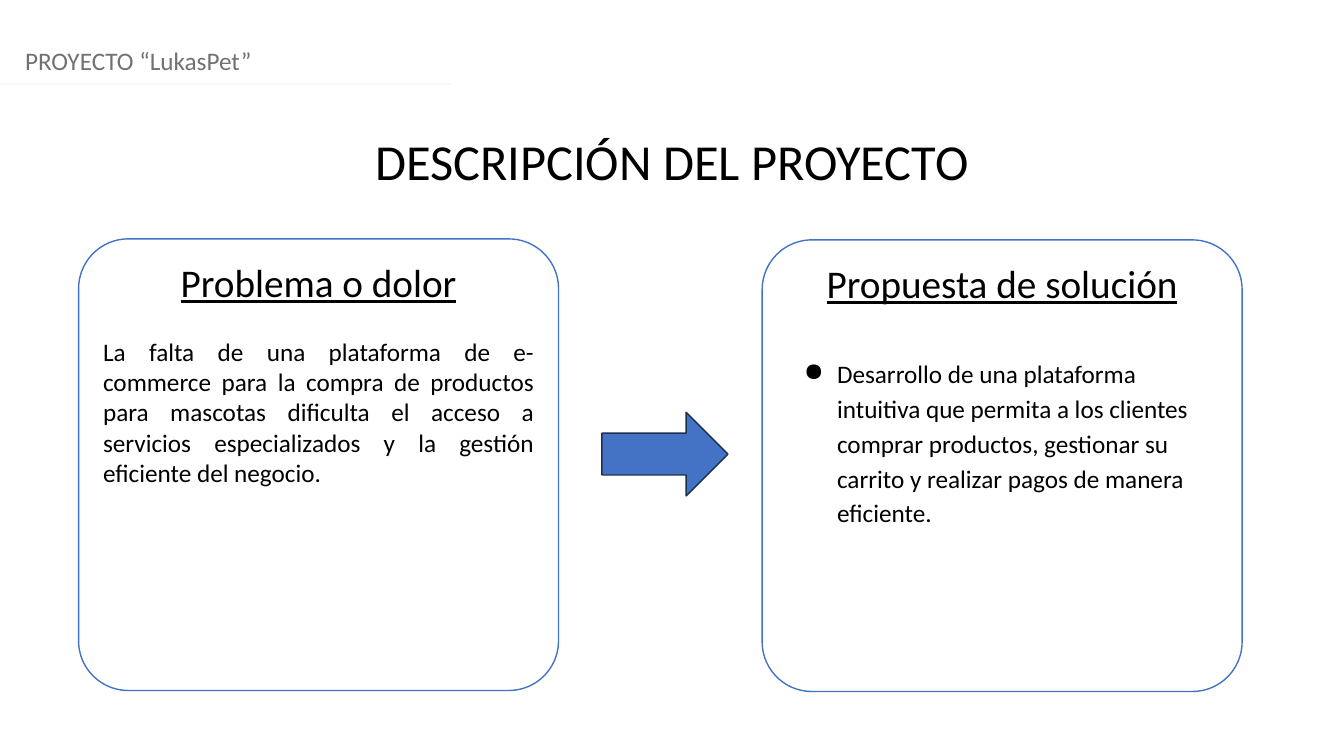
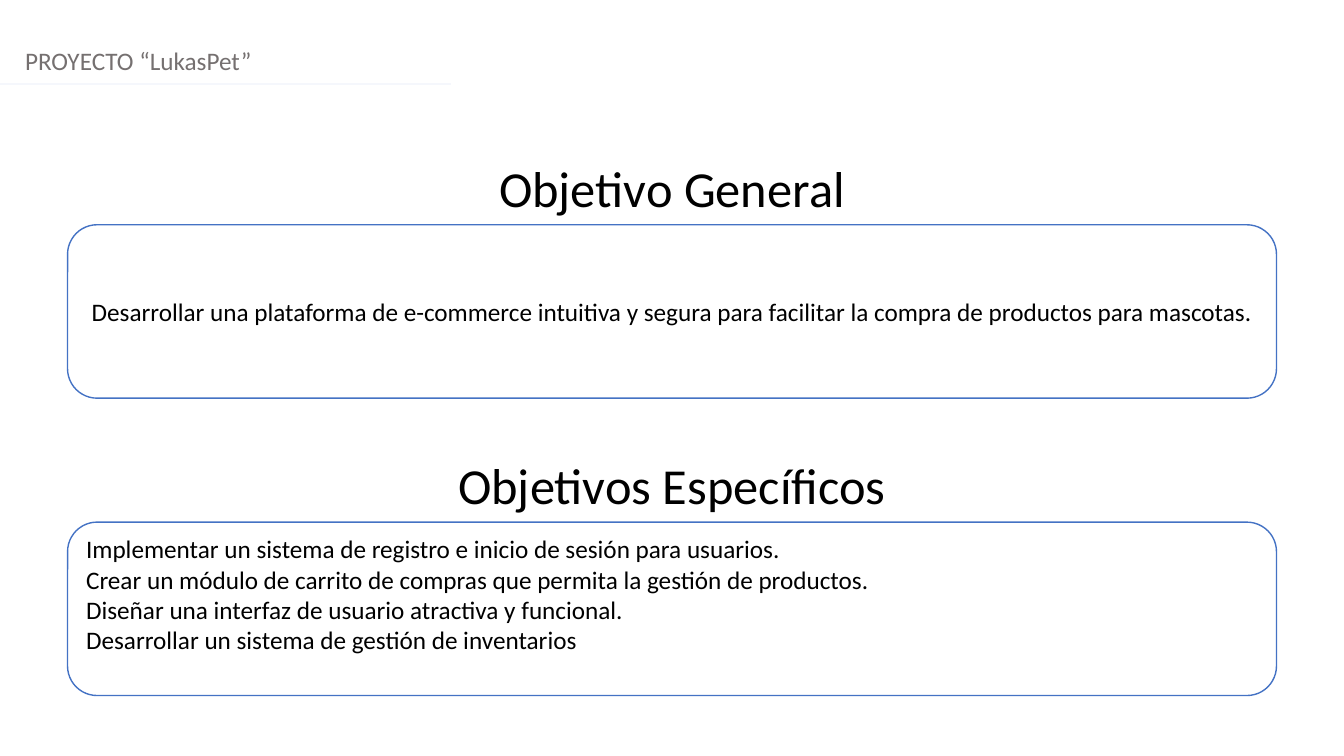
from lxml.etree import SubElement
from pptx import Presentation
from pptx.dml.color import RGBColor
from pptx.enum.shapes import MSO_CONNECTOR, MSO_SHAPE
from pptx.enum.text import MSO_ANCHOR, MSO_AUTO_SIZE, PP_ALIGN
from pptx.oxml.ns import qn
from pptx.util import Pt

PX = 9144  # 100 px to the inch
WIDE, HIGH = 1333, 750
FONT = "Calibri"
HEX = {
    "ink": "000000",
    "gray": "757070",
    "pale": "F5F7FC",
    "paper": "FFFFFF",
    "blue": "4472C4",
    "navy": "1C3052",
}


def emu(*vals):
    return [val * PX for val in vals]


def color(name):
    return RGBColor.from_string(HEX[name])


# Text
def style(para, size, tone="ink", align=PP_ALIGN.LEFT, under=False):
    para.alignment = align
    for run in para.runs:
        font = run.font
        font.name, font.size = FONT, Pt(size)
        font.color.rgb = color(tone)
        font.underline = under


def setup(frame, anchor=MSO_ANCHOR.TOP):
    frame.word_wrap = True
    frame.auto_size = MSO_AUTO_SIZE.NONE
    frame.vertical_anchor = anchor
    frame.margin_left = frame.margin_right = 10 * PX
    frame.margin_top = frame.margin_bottom = 5 * PX


def label(slide, text, box, size, tone="ink", align=PP_ALIGN.LEFT):
    frame = slide.shapes.add_textbox(*emu(*box)).text_frame
    setup(frame)
    frame.text = text
    style(frame.paragraphs[0], size, tone, align)


def bullet(para, left, hang):
    props = para._p.get_or_add_pPr()
    props.set("marL", str(left * PX))
    props.set("indent", str(-hang * PX))
    tint = SubElement(props, qn("a:buClr"))
    SubElement(tint, qn("a:srgbClr"), val=HEX["ink"])
    SubElement(props, qn("a:buChar"), char="●")


# Shapes
def shape(slide, kind, box, fill, line):
    item = slide.shapes.add_shape(kind, *emu(*box))
    item.shadow.inherit = False
    item.fill.solid()
    item.fill.fore_color.rgb = color(fill)
    item.line.color.rgb = color(line)
    item.line.width = Pt(1)
    return item


def panel(slide, box, round_by, anchor=MSO_ANCHOR.TOP):
    item = shape(slide, MSO_SHAPE.ROUNDED_RECTANGLE, box, "paper", "blue")
    item.adjustments[0] = round_by
    setup(item.text_frame, anchor)
    return item.text_frame


def card(slide, left, top, head, body):
    frame = panel(slide, (left, top, 476, 448), 0.11)
    frame.text = head
    style(frame.paragraphs[0], 28, align=PP_ALIGN.CENTER, under=True)
    para = frame.add_paragraph()
    para.text = body
    return para


# Shared slide parts
def page(deck, title, top):
    slide = deck.slides.add_slide(deck.slide_layouts[5])
    head = slide.shapes.title
    head.left, head.top, head.width, head.height = emu(0, top, WIDE, 71)
    setup(head.text_frame)
    head.text_frame.text = title
    style(head.text_frame.paragraphs[0], 36, align=PP_ALIGN.CENTER)
    label(slide, "PROYECTO “LukasPet”", (15, 40, 1318, 40), 18, "gray")
    rule = slide.shapes.add_connector(
        MSO_CONNECTOR.STRAIGHT, *emu(0, 83, 447, 83))
    rule.line.color.rgb = color("pale")
    rule.line.width = Pt(1.25)
    SubElement(rule._element.spPr, qn("a:effectLst"))
    return slide


def project(deck):
    slide = page(deck, "DESCRIPCIÓN DEL PROYECTO", 124)
    pain = card(
        slide, 78, 237, "Problema o dolor",
        "La falta de una plataforma de e-commerce para la compra de "
        "productos para mascotas dificulta el acceso a servicios "
        "especializados y la gestión eficiente del negocio.")
    style(pain, 18, align=PP_ALIGN.JUSTIFY)
    pain.space_before = Pt(22)

    plan = card(
        slide, 756, 238, "Propuesta de solución",
        "Desarrollo de una plataforma intuitiva que permita a los clientes "
        "comprar productos, gestionar su carrito y realizar pagos de manera "
        "eficiente.")
    bullet(plan, 50, 33)
    style(plan, 18)
    plan.line_spacing = 1.15
    plan.space_before = Pt(34)

    shape(slide, MSO_SHAPE.RIGHT_ARROW, (597, 409, 125, 83), "blue", "navy")


def goals(deck):
    slide = page(deck, "Objetivo General", 151)
    label(slide, "Objetivos Específicos", (0, 446, WIDE, 71), 36,
          align=PP_ALIGN.CENTER)

    main_goal = panel(slide, (67, 223, 1199, 172), 0.17, MSO_ANCHOR.MIDDLE)
    main_goal.text = (
        "Desarrollar una plataforma de e-commerce intuitiva y segura para "
        "facilitar la compra de productos para mascotas.")
    style(main_goal.paragraphs[0], 18, align=PP_ALIGN.CENTER)

    steps = panel(slide, (67, 518, 1199, 172), 0.17)
    steps.margin_top = 3 * PX
    steps.text = "\n".join([
        "Implementar un sistema de registro e inicio de sesión para usuarios.",
        "Crear un módulo de carrito de compras que permita la gestión de "
        "productos.",
        "Diseñar una interfaz de usuario atractiva y funcional.",
        "Desarrollar un sistema de gestión de inventarios",
    ])
    for para in steps.paragraphs:
        style(para, 18, align=PP_ALIGN.JUSTIFY)


def main():
    deck = Presentation()
    deck.slide_width, deck.slide_height = emu(WIDE, HIGH)
    project(deck)
    goals(deck)
    deck.save("out.pptx")


if __name__ == "__main__":
    main()
